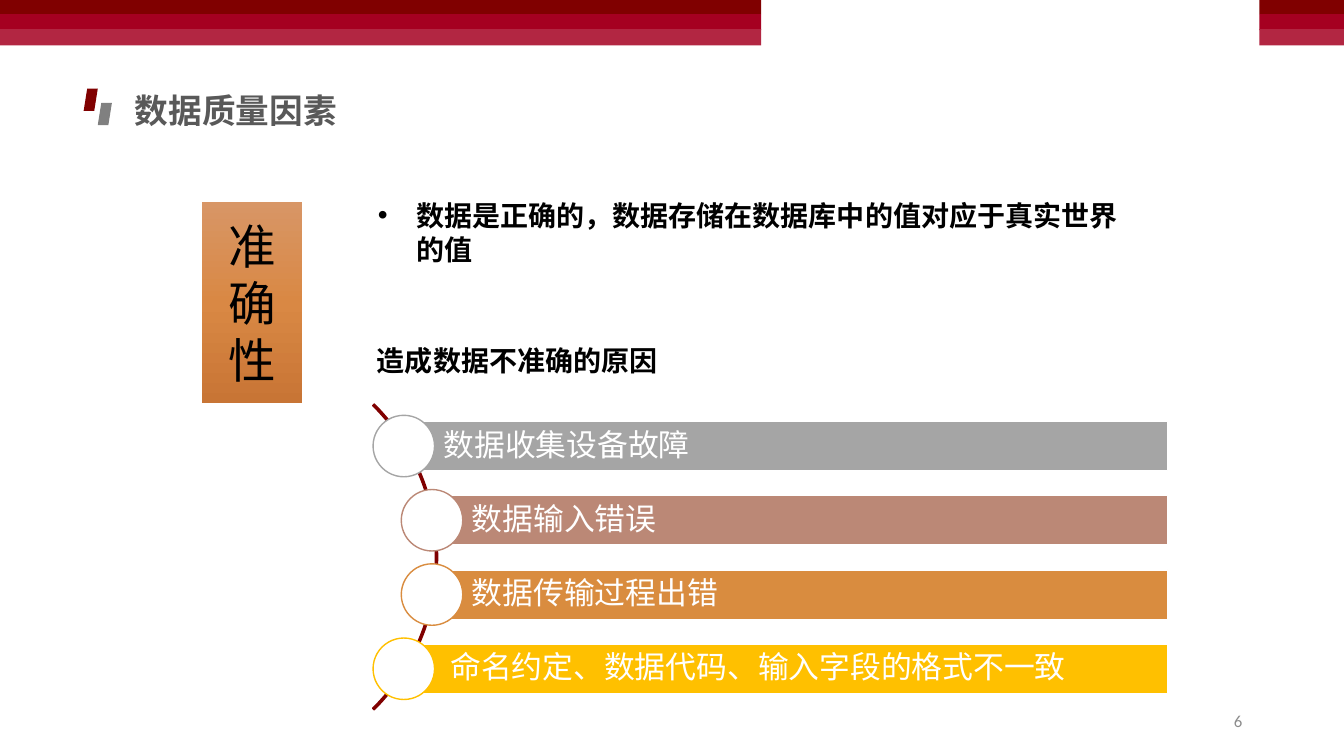
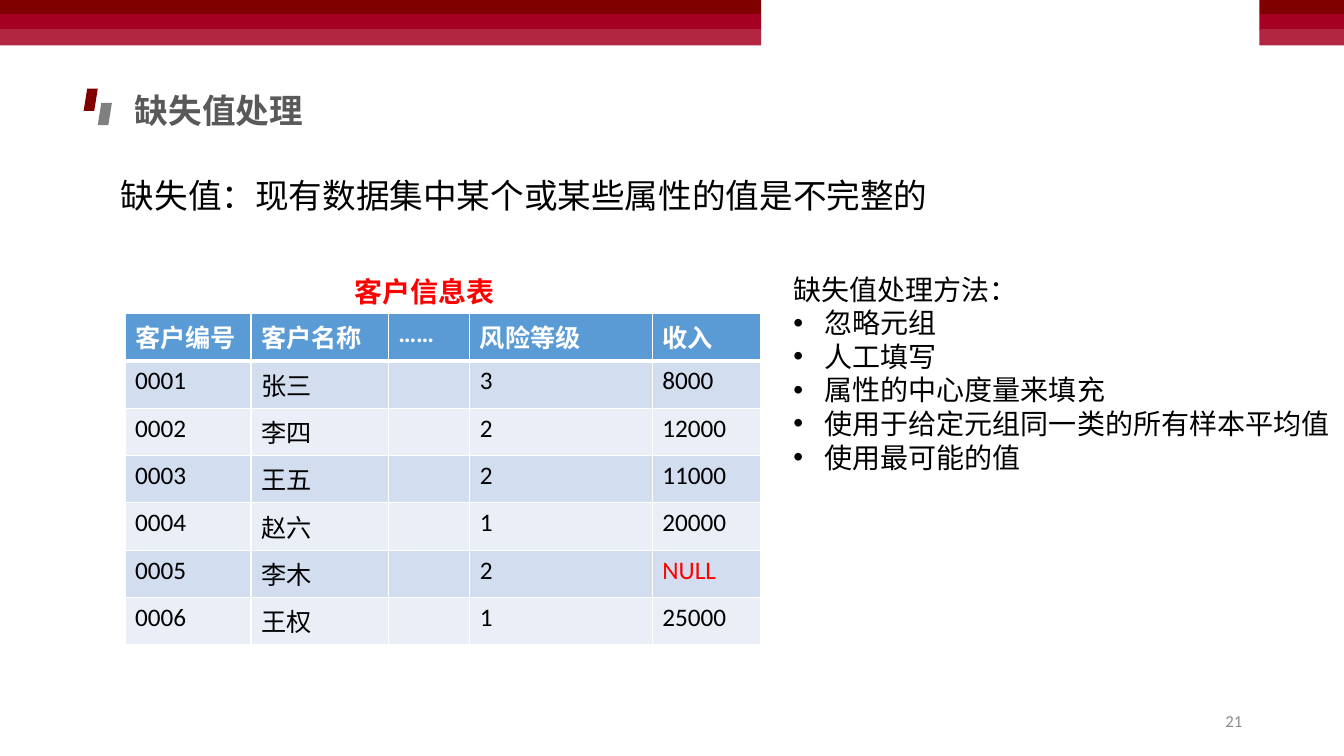
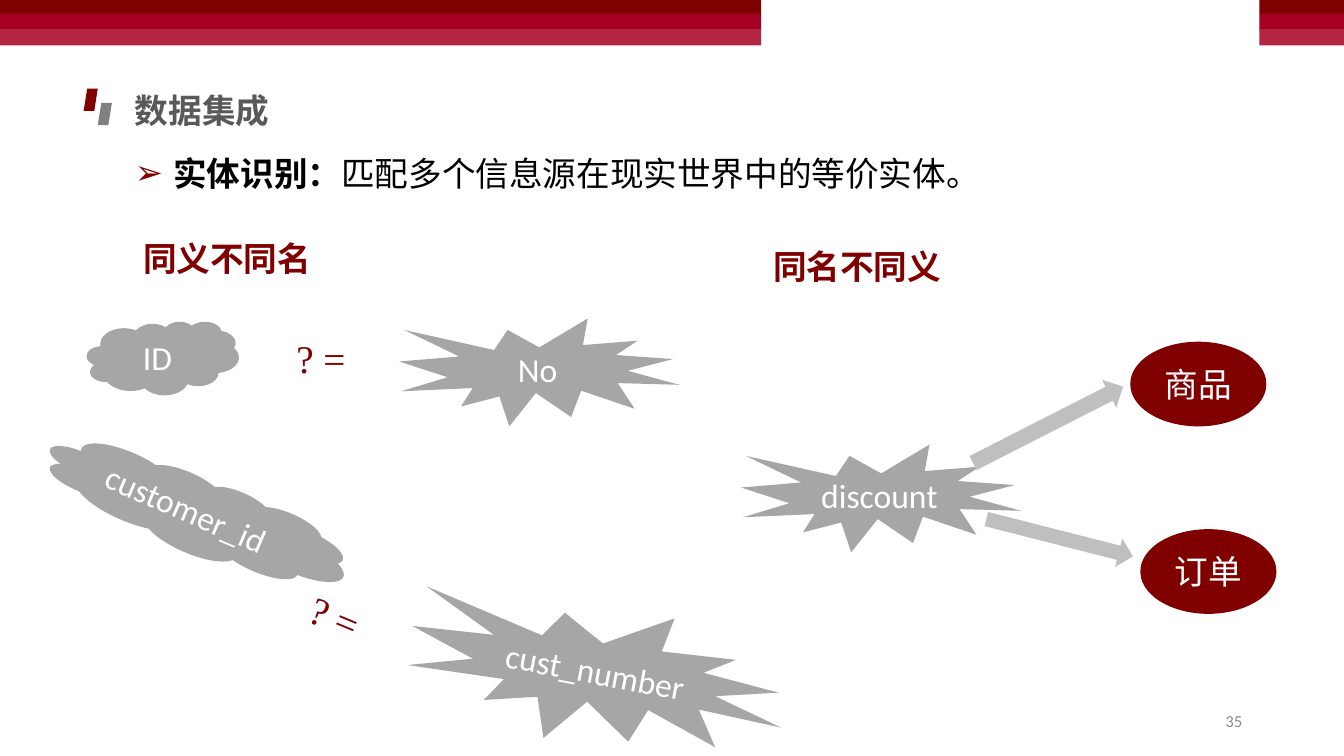
import copy

import lxml.etree
import pptx
import pptx.dml.color
import pptx.enum.shapes
import pptx.enum.text
import pptx.oxml.ns
import pptx.util

Inches = pptx.util.Inches
Pt = pptx.util.Pt
qn = pptx.oxml.ns.qn
SHAPES = pptx.enum.shapes.MSO_SHAPE
ALIGN = pptx.enum.text.PP_ALIGN
ANCHOR = pptx.enum.text.MSO_ANCHOR

COLORS = {
    "maroon": "800000",
    "crimson": "A50021",
    "rose": "B22642",
    "title": "595959",
    "mark": "808080",
    "number": "8C8C8C",
    "black": "000000",
    "white": "FFFFFF",
    "red": "FF0000",
    "silver": "A5A5A5",
    "clay": "BB8876",
    "orange": "D98C3F",
    "gold": "FFC000",
    "hexagon_top": "D89666",
    "hexagon_middle": "D98844",
    "hexagon_bottom": "C87535",
    "cloud": "A6A6A6",
    "arrow": "BFBFBF",
    "header": "5B9BD5",
    "odd_row": "D2DEEF",
    "even_row": "EAEFF7",
}
CJK_FONT = "Noto Sans CJK SC"


def rgb(name):
    return pptx.dml.color.RGBColor.from_string(COLORS[name])


def format_run(run, size, color, bold=False, font="Calibri"):
    run.font.size = Pt(size)
    run.font.bold = bold
    run.font.color.rgb = rgb(color)
    run.font.name = font
    east_asian = lxml.etree.SubElement(run.font._element, qn("a:ea"))
    east_asian.set("typeface", CJK_FONT)


def add_bullet(paragraph, character, indent, color=None):
    properties = paragraph._p.get_or_add_pPr()
    properties.set("marL", str(Inches(indent)))
    properties.set("indent", str(-Inches(indent)))
    if color:
        bullet_color = lxml.etree.SubElement(properties, qn("a:buClr"))
        lxml.etree.SubElement(bullet_color, qn("a:srgbClr")).set("val", COLORS[color])
    lxml.etree.SubElement(properties, qn("a:buFont")).set("typeface", "Arial")
    lxml.etree.SubElement(properties, qn("a:buChar")).set("char", character)


def write_text(shape, text, size, color, bold=False, font="Calibri",
               align=ALIGN.LEFT, anchor=ANCHOR.TOP, wrap=True):
    frame = shape.text_frame
    frame.text = text
    frame.word_wrap = wrap
    frame.vertical_anchor = anchor
    for paragraph in frame.paragraphs:
        paragraph.alignment = align
        for run in paragraph.runs:
            format_run(run, size, color, bold, font)


def add_text(slide, box, text, size, color="black", rotation=0, **style):
    shape = slide.shapes.add_textbox(*map(Inches, box))
    shape.rotation = rotation
    write_text(shape, text, size, color, **style)
    return shape


def add_figure(slide, kind, box, fill, line=None, rotation=0):
    shape = slide.shapes.add_shape(kind, *map(Inches, box))
    shape.shadow.inherit = False
    shape.rotation = rotation
    shape.fill.solid()
    shape.fill.fore_color.rgb = rgb(fill)
    if line:
        shape.line.color.rgb = rgb(line)
        shape.line.width = Pt(1)
    else:
        shape.line.fill.background()
    return shape


def add_label_figure(slide, kind, box, fill, text, rotation=0):
    shape = add_figure(slide, kind, box, fill, rotation=rotation)
    write_text(shape, text, 24, "white", align=ALIGN.CENTER, anchor=ANCHOR.MIDDLE)


def set_up_layout(presentation):
    layout = presentation.slide_layouts[6]
    for placeholder in list(layout.placeholders):
        placeholder._element.getparent().remove(placeholder._element)
    return layout


def add_bands(slide, layout):
    for left, width in ((0, 7.55), (12.49, 0.87)):
        for top, height, color in ((0, 0.14, "maroon"), (0.14, 0.16, "crimson"),
                                   (0.29, 0.16, "rose")):
            band = add_figure(slide, SHAPES.RECTANGLE, (left, top, width, height), color)
            layout.shapes._spTree.append(band._element)


def add_slide(presentation, layout, title, number):
    slide = presentation.slides.add_slide(layout)
    for left, top, color in ((0.83, 0.88, "maroon"), (0.97, 1.02, "mark")):
        add_figure(slide, SHAPES.PARALLELOGRAM, (left, top, 0.14, 0.22), color)
    add_text(slide, (1.24, 0.84, 4.12, 0.5), title, 24, "title", bold=True, font=CJK_FONT)
    add_text(slide, (9.42, 6.95, 3, 0.4), number, 12, "number",
             align=ALIGN.RIGHT, anchor=ANCHOR.MIDDLE)
    return slide


def add_hexagon(slide, text):
    builder = slide.shapes.build_freeform(2.39, 2.03, scale=Inches(1))
    builder.add_line_segments(
        [(3.29, 2.47), (3.29, 3.64), (2.39, 4.08), (1.5, 3.64), (1.5, 2.47)])
    hexagon = builder.convert_to_shape()
    hexagon.shadow.inherit = False
    hexagon.line.fill.background()
    hexagon.fill.gradient()
    hexagon.fill.gradient_angle = 270
    stop_list = hexagon._element.spPr.find(qn("a:gradFill")).find(qn("a:gsLst"))
    stop_list.append(copy.deepcopy(stop_list[0]))
    stops = ((0, "hexagon_top"), (0.5, "hexagon_middle"), (1, "hexagon_bottom"))
    for stop, (position, color) in zip(hexagon.fill.gradient_stops, stops):
        stop.position = position
        stop.color.rgb = rgb(color)
    write_text(hexagon, text, 34, "black", align=ALIGN.CENTER, anchor=ANCHOR.MIDDLE)


def add_reason_list(slide, reasons):
    arc = add_figure(slide, SHAPES.BLOCK_ARC, (0.05, 3.38, 4.29, 4.29), "maroon", "maroon")
    for index, value in enumerate((189, 27, 0.005)):
        arc.adjustments[index] = value
    first_top, last_top, right = 4.18, 6.39, 11.58
    pitch = (last_top - first_top) / (len(reasons) - 1)
    for index, (text, color) in enumerate(reasons):
        left = 4.01 if index in (0, len(reasons) - 1) else 4.29
        top = first_top + index * pitch
        bar = add_figure(slide, SHAPES.RECTANGLE, (left, top, right - left, 0.49),
                         color, "white")
        write_text(bar, text, 22, "white", anchor=ANCHOR.MIDDLE)
        bar.text_frame.margin_left = Inches(0.39)
        bar.text_frame.paragraphs[0].line_spacing = 0.9
        add_figure(slide, SHAPES.OVAL, (left - 0.31, top - 0.06, 0.61, 0.61),
                   "white", color)


def set_borders(cell, bottom_width):
    properties = cell._tc.get_or_add_tcPr()
    for side, width in (("L", 1), ("R", 1), ("T", 1), ("B", bottom_width)):
        line = lxml.etree.SubElement(properties, qn("a:ln" + side), w=str(Pt(width)))
        fill = lxml.etree.SubElement(line, qn("a:solidFill"))
        lxml.etree.SubElement(fill, qn("a:srgbClr")).set("val", COLORS["white"])


def add_customer_table(slide, rows):
    widths = (1.25, 1.36, 0.81, 1.81, 1.07)
    row_height = 0.47
    table = slide.shapes.add_table(
        len(rows), len(widths), Inches(1.24), Inches(3.11),
        Inches(sum(widths)), Inches(row_height * len(rows))).table
    for column, width in zip(table.columns, widths):
        column.width = Inches(width)
    for row_index, values in enumerate(rows):
        table.rows[row_index].height = Inches(row_height)
        is_header = row_index == 0
        fill = "header" if is_header else ("even_row", "odd_row")[row_index % 2]
        for column_index, value in enumerate(values):
            cell = table.cell(row_index, column_index)
            set_borders(cell, 3 if is_header else 1)
            cell.fill.solid()
            cell.fill.fore_color.rgb = rgb(fill)
            cell.text = value
            color = "white" if is_header else "red" if value == "NULL" else "black"
            for run in cell.text_frame.paragraphs[0].runs:
                format_run(run, 18, color, is_header)


def fill_accuracy_slide(slide):
    add_hexagon(slide, "准确性")
    add_reason_list(slide, (
        ("数据收集设备故障", "silver"),
        ("数据输入错误", "clay"),
        ("数据传输过程出错", "orange"),
        (" 命名约定、数据代码、输入字段的格式不一致", "gold"),
    ))
    definition = add_text(slide, (3.65, 1.92, 7.8, 1.11),
                          "数据是正确的，数据存储在数据库中的值对应于真实世界的值", 20, bold=True)
    add_bullet(definition.text_frame.paragraphs[0], "•", 0.38)
    add_text(slide, (3.64, 3.36, 3.01, 0.44), "造成数据不准确的原因", 20,
             bold=True, wrap=False)


def fill_missing_values_slide(slide):
    add_text(slide, (1.1, 1.69, 8.29, 0.5),
             "缺失值：现有数据集中某个或某些属性的值是不完整的", 24, wrap=False)
    add_customer_table(slide, (
        ("客户编号", "客户名称", "……", "风险等级", "收入"),
        ("0001", "张三", "", "3", "8000"),
        ("0002", "李四", "", "2", "12000"),
        ("0003", "王五", "", "2", "11000"),
        ("0004", "赵六", "", "1", "20000"),
        ("0005", "李木", "", "2", "NULL"),
        ("0006", "王权", "", "1", "25000"),
    ))
    methods = add_text(slide, (7.77, 2.65, 5.57, 2.12), "\n".join((
        "缺失值处理方法：",
        "忽略元组",
        "人工填写",
        "属性的中心度量来填充",
        "使用于给定元组同一类的所有样本平均值",
        "使用最可能的值",
    )), 20, wrap=False)
    for paragraph in methods.text_frame.paragraphs[1:]:
        add_bullet(paragraph, "•", 0.31)
    add_text(slide, (3.42, 2.67, 1.6, 0.44), "客户信息表", 20, "red",
             bold=True, wrap=False)


def fill_integration_slide(slide):
    definition = add_text(slide, (1.24, 1.47, 9.26, 0.5), "实体识别：", 24, bold=True)
    paragraph = definition.text_frame.paragraphs[0]
    add_bullet(paragraph, "➢", 0.38, "maroon")
    explanation = paragraph.add_run()
    explanation.text = "匹配多个信息源在现实世界中的等价实体。"
    format_run(explanation, 24, "black", font="Arial")

    for box, heading in (((1.32, 2.31, 4.22, 0.5), "同义不同名"),
                         ((7.57, 2.39, 4.56, 0.5), "同名不同义")):
        add_text(slide, box, heading, 24, "maroon", bold=True)
    for box, rotation in (((2.84, 3.27, 1.19, 0.57), 0), ((2.96, 5.93, 1.19, 0.57), 22.6)):
        add_text(slide, box, "? =", 28, "maroon", rotation, font="Times New Roman")

    burst = SHAPES.EXPLOSION1
    for kind, box, fill, text, rotation in (
        (SHAPES.CLOUD, (0.86, 3.19, 1.51, 0.73), "cloud", "ID", 0),
        (SHAPES.CLOUD, (0.36, 4.72, 3.17, 0.77), "cloud", "customer_id", 23.3),
        (burst, (4.03, 6, 3.78, 1.41), "cloud", "cust_number", 10.8),
        (burst, (3.96, 3.16, 2.78, 1.07), "cloud", "No", 0),
        (burst, (7.35, 4.41, 2.78, 1.07), "cloud", "discount", 0),
        (SHAPES.OVAL, (11.21, 3.39, 1.35, 0.84), "maroon", "商品", 0),
        (SHAPES.OVAL, (11.31, 5.25, 1.35, 0.84), "maroon", "订单", 0),
    ):
        add_label_figure(slide, kind, box, fill, text, rotation)
    for box, rotation in (((9.76, 5.19, 1.5, 0.29), 14.3), ((9.56, 4.06, 1.67, 0.31), 333)):
        add_figure(slide, SHAPES.RIGHT_ARROW, box, "arrow", rotation=rotation)


def main():
    presentation = pptx.Presentation()
    presentation.slide_width = Inches(13.33)
    presentation.slide_height = Inches(7.5)
    layout = set_up_layout(presentation)
    accuracy = add_slide(presentation, layout, "数据质量因素", "6")
    add_bands(accuracy, layout)
    fill_accuracy_slide(accuracy)
    fill_missing_values_slide(add_slide(presentation, layout, "缺失值处理", "21"))
    fill_integration_slide(add_slide(presentation, layout, "数据集成", "35"))
    presentation.save("out.pptx")


if __name__ == "__main__":
    main()
